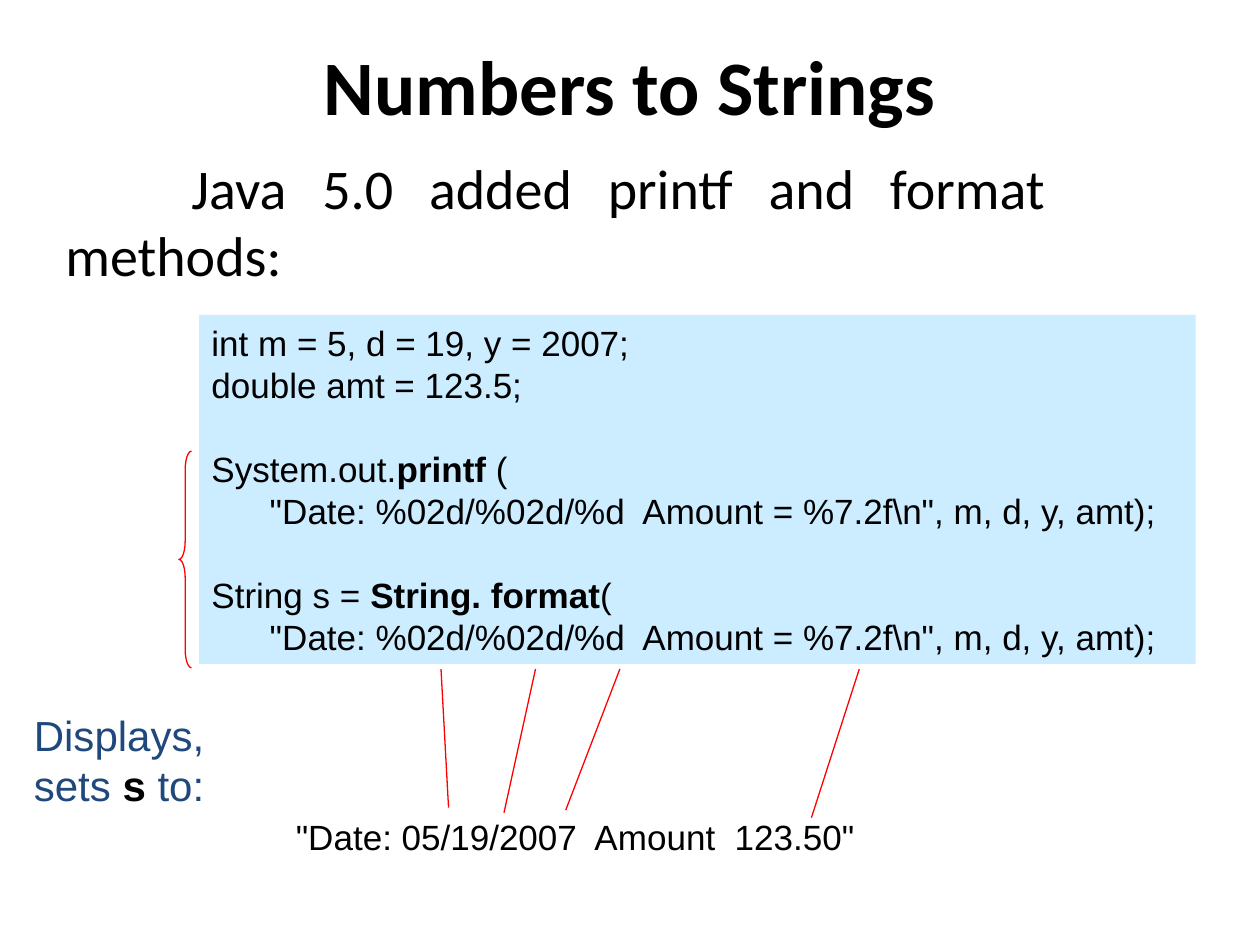
from pptx import Presentation
from pptx.dml.color import RGBColor
from pptx.enum.shapes import MSO_CONNECTOR, MSO_SHAPE
from pptx.enum.text import MSO_ANCHOR, PP_ALIGN
from pptx.oxml.ns import qn
from pptx.util import Inches, Pt
from lxml import etree

BLACK, RED, BLUE, PALE_BLUE = "000000", "FF0000", "1F497D", "CCECFF"


def rgb(color):
    return RGBColor.from_string(color)


def add_text(tf, runs, first=True, font="Arial", size=20, color=BLACK, bold=False,
             align=PP_ALIGN.LEFT, before=0, leading=None, indent=0):
    """Add a paragraph; runs is a string or a list of (text, overrides)."""
    p = tf.paragraphs[0] if first else tf.add_paragraph()
    if indent:
        p._p.get_or_add_pPr().set("indent", str(Inches(indent)))
    p.alignment = align
    p.space_before = Pt(before)
    if leading:
        p.line_spacing = Pt(leading)
    for text, fmt in [(runs, {})] if isinstance(runs, str) else runs:
        r = p.add_run()
        r.text = text
        r.font.name = font
        r.font.size = Pt(size)
        r.font.bold = fmt.get("bold", bold)
        r.font.color.rgb = rgb(fmt.get("color", color))


class SlideBuilder:
    line_color = RED
    line_width = Pt(0.75)

    def __init__(self, slide):
        self.s = slide

    def text_box(self, box, runs, anchor=MSO_ANCHOR.TOP, **fmt):
        tf = self.s.shapes.add_textbox(*map(Inches, box)).text_frame
        tf.word_wrap = True
        tf.vertical_anchor = anchor
        add_text(tf, runs, **fmt)

    def code_box(self, box, blocks, size=20, leading=24):
        """Draw blocks of code lines, with one line of space between blocks."""
        sp = self.s.shapes.add_shape(MSO_SHAPE.RECTANGLE, *map(Inches, box))
        sp.shadow.inherit = False
        sp.fill.solid()
        sp.fill.fore_color.rgb = rgb(PALE_BLUE)
        sp.line.fill.background()
        tf = sp.text_frame
        tf.word_wrap = True
        tf.vertical_anchor = MSO_ANCHOR.TOP
        for b, block in enumerate(blocks):
            for i, line in enumerate(block):
                add_text(tf, line, first=b == i == 0, size=size, leading=leading,
                         before=leading if b and i == 0 else 0)

    def brace(self, box, curve):
        sp = self.s.shapes.add_shape(MSO_SHAPE.LEFT_BRACE, *map(Inches, box))
        sp.shadow.inherit = False
        sp.adjustments[0] = curve
        sp.fill.background()
        self.style_line(sp)

    def connector(self, start, end):
        c = self.s.shapes.add_connector(MSO_CONNECTOR.STRAIGHT,
                                        *map(Inches, start + end))
        self.style_line(c)
        etree.SubElement(c._element.spPr, qn("a:effectLst"))

    def style_line(self, sp):
        sp.line.color.rgb = rgb(self.line_color)
        sp.line.width = self.line_width


def main():
    prs = Presentation()
    prs.slide_width, prs.slide_height = Inches(10), Inches(7.5)
    s = SlideBuilder(prs.slides.add_slide(prs.slide_layouts[6]))

    s.text_box((0, 0.17, 10, 1), "Numbers to Strings", anchor=MSO_ANCHOR.MIDDLE,
               font="Calibri", size=44, bold=True, align=PP_ALIGN.CENTER)
    s.text_box((0.42, 1.17, 7.98, 5.67), "Java 5.0 added printf and format methods:",
               font="Calibri", size=32, align=PP_ALIGN.JUSTIFY, indent=1)

    bold = {"bold": True}
    arguments = '      "Date: %02d/%02d/%d  Amount = %7.2f\\n", m, d, y, amt);'
    s.code_box((1.58, 2.5, 7.91, 2.77), [
        ["int m = 5, d = 19, y = 2007;", "double amt = 123.5;"],
        [[("System.out.", {}), ("printf", bold), (" (", {})], arguments],
        [[("String s = ", {}), ("String. format", bold), ("(", {})], arguments],
    ])
    s.brace((1.42, 3.58, 0.1, 1.72), curve=1.47)

    s.text_box((0.17, 5.58, 1.71, 0.9),
               [("Displays, sets ", {}), ("s", {"bold": True, "color": BLACK}),
                (" to:", {})], size=24, color=BLUE, leading=28.8)
    s.text_box((2.25, 6.42, 4.83, 0.43), '"Date: 05/19/2007  Amount  123.50"',
               leading=24)

    code_bottom = 5.31
    for result_x, result_y, code_x in [(3.56, 6.41, 3.5), (4, 6.45, 4.25),
                                       (4.49, 6.43, 4.92), (6.44, 6.49, 6.82)]:
        s.connector((result_x, result_y), (code_x, code_bottom))

    prs.save("out.pptx")


if __name__ == "__main__":
    main()
